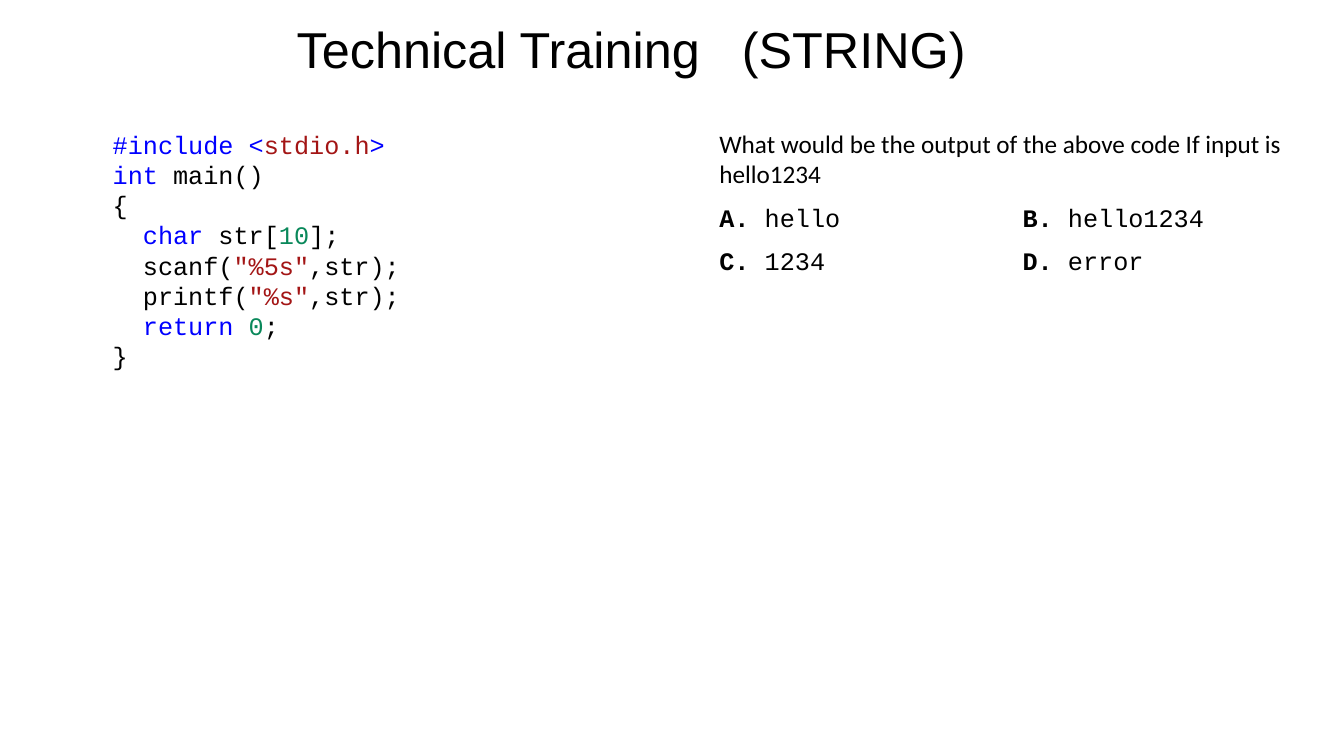
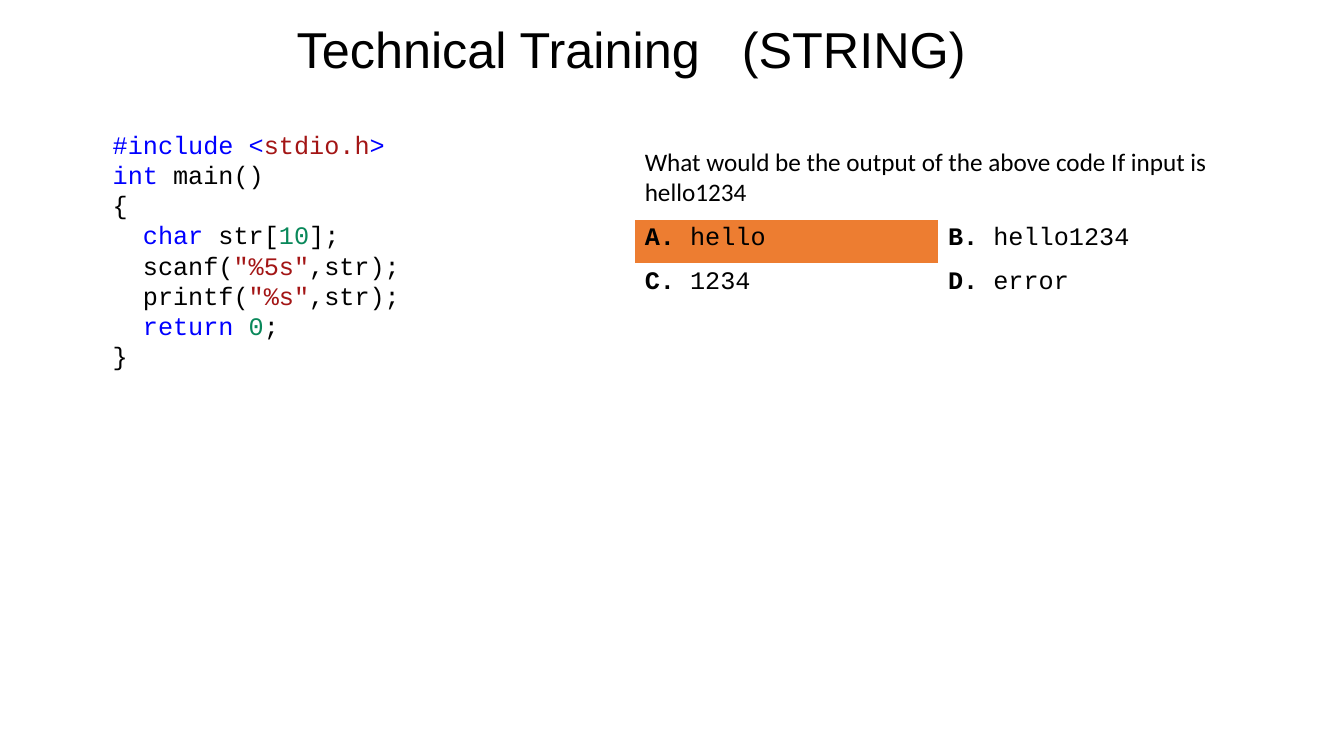
from pptx import Presentation
from pptx.dml.color import RGBColor
from pptx.enum.text import MSO_ANCHOR as Anchor, MSO_AUTO_SIZE as Fit, PP_ALIGN as Align
from pptx.oxml.ns import qn
from pptx.util import Pt

PX = 9144
COLORS = {
    "text": "000000",
    "key": "0000FF",
    "str": "A31515",
    "num": "09885A",
    "plain": "FFFFFF",
    "right": "ED7D31",
}
HEAD, BODY, MONO = "Arial", "Calibri", "Courier New"
NO_GRID = "{2D5ABB26-0587-4C30-8999-92F81FD0307C}"

CODE = [
    [("#include <", "key"), ("stdio.h", "str"), (">", "key")],
    [("int", "key"), (" main()", "text")],
    [("{", "text")],
    [("  char", "key"), (" str[", "text"), ("10", "num"), ("];", "text")],
    [("  scanf(", "text"), ('"%5s"', "str"), (",str);", "text")],
    [("  printf(", "text"), ('"%s"', "str"), (",str);", "text")],
    [("  return ", "key"), ("0", "num"), (";", "text")],
    [("}", "text")],
]
QUERY = "What would be the output of the above code If input is hello1234"
CHOICES = ["hello", "hello1234", "1234", "error"]


def px(*sizes):
    return [size * PX for size in sizes]


def color(name):
    return RGBColor.from_string(COLORS[name])


def add_run(para, text, font, size=18, tint="text", bold=False):
    run = para.add_run()
    run.text = text
    run.font.name = font
    run.font.size = Pt(size)
    run.font.bold = bold
    run.font.color.rgb = color(tint)
    return run


def add_title(slide):
    title = slide.shapes.title
    title.left, title.top, title.width, title.height = px(229, 13, 795, 70)
    frame = title.text_frame
    frame.auto_size = Fit.NONE
    frame.vertical_anchor = Anchor.TOP
    para = frame.paragraphs[0]
    para.alignment = Align.CENTER
    add_run(para, "Technical Training", HEAD, 36)
    gap = add_run(para, " ", HEAD, 36)
    gap.font._element.set("spc", "2000")  # widens the gap by 20 pt
    add_run(para, "(STRING)", HEAD, 36)


def add_code(slide):
    frame = slide.shapes.add_textbox(*px(102, 123, 541, 280)).text_frame
    frame.word_wrap = True
    for row, line in enumerate(CODE):
        para = frame.add_paragraph() if row else frame.paragraphs[0]
        for text, tint in line:
            add_run(para, text, MONO, tint=tint)


def add_quiz(slide, left, top, fill):
    """Add the question and its choices; fill marks choice A."""
    shape = slide.shapes.add_table(3, 2, *px(left, top, 602, 163))
    for style in shape.element.iter(qn("a:tableStyleId")):
        style.text = NO_GRID
    table = shape.table
    table.first_row = table.horz_banding = False
    for row, size in zip(table.rows, px(77, 43, 43)):
        row.height = size
    for cell in table.iter_cells():
        cell.fill.background()

    query = table.cell(0, 0)
    query.merge(table.cell(0, 1))
    add_run(query.text_frame.paragraphs[0], QUERY, BODY)
    for spot, (mark, text) in enumerate(zip("ABCD", CHOICES)):
        row, col = divmod(spot, 2)
        para = table.cell(row + 1, col).text_frame.paragraphs[0]
        add_run(para, f"{mark}.", MONO, bold=True)
        add_run(para, f" {text}", MONO)

    first = table.cell(1, 0)
    first.fill.solid()
    first.fill.fore_color.rgb = color(fill)


def main():
    deck = Presentation()
    deck.slide_width, deck.slide_height = px(1334, 750)
    for left, top, fill in [(704, 123, "plain"), (630, 141, "right")]:
        slide = deck.slides.add_slide(deck.slide_layouts[5])
        add_title(slide)
        add_code(slide)
        add_quiz(slide, left, top, fill)
    deck.save("out.pptx")


if __name__ == "__main__":
    main()
